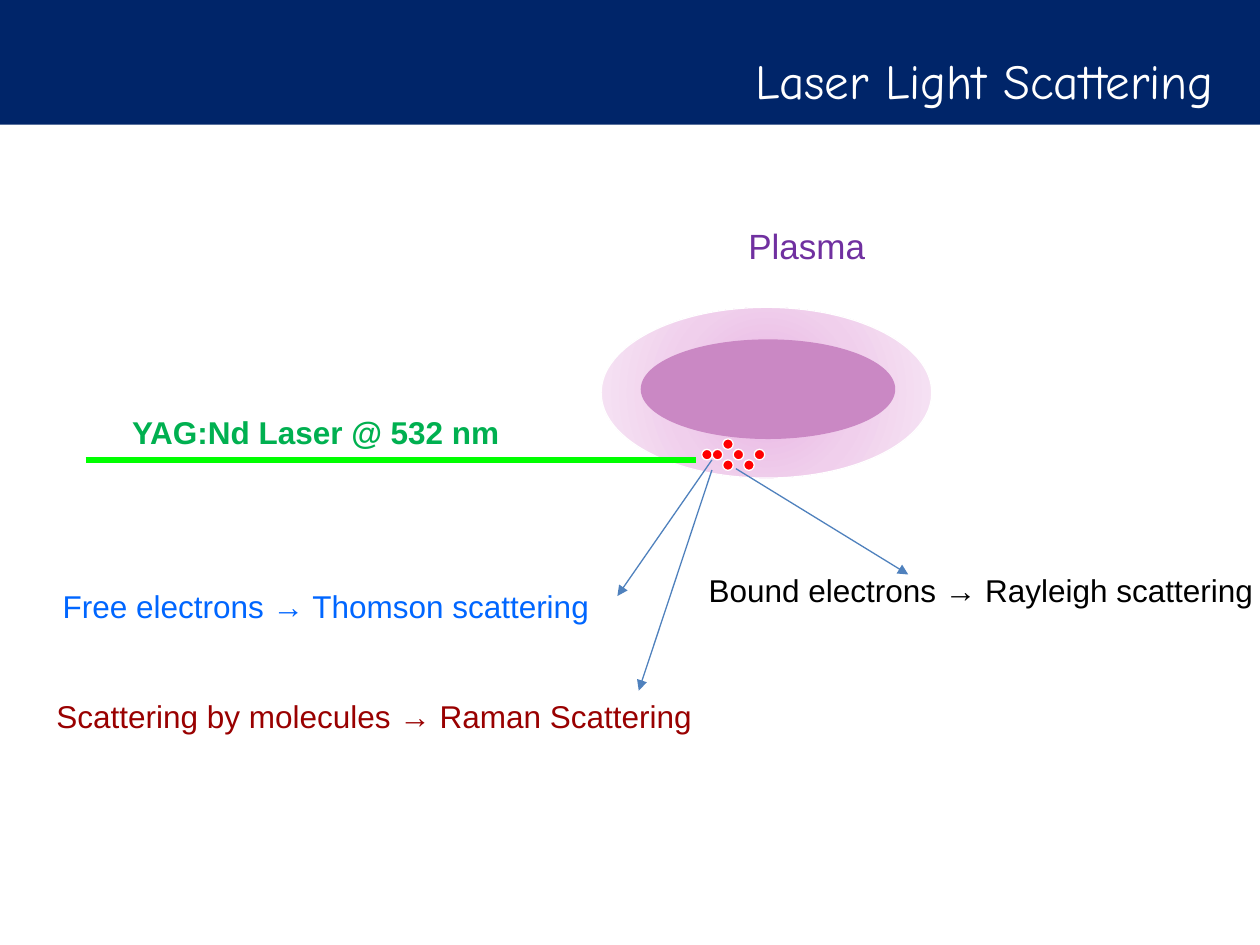
from pptx import Presentation
from pptx.dml.color import RGBColor
from pptx.enum import shapes, text
from pptx.oxml import parse_xml
from pptx.oxml.ns import nsdecls
from pptx.util import Pt

DOT_CELLS = [(5, 1), (3, 1), (2, 2), (4, 2), (0, 1), (2, 0), (1, 1)]
GLOW_STOPS = [(0, "E8B2E3"), (50, "F0CFEC"), (100, "F7E7F5")]


def color(value):
    """Turn a hex string into a colour."""
    return RGBColor.from_string(value)


def style(tf, words, size, hue, font="Arial", bold=False, align=text.PP_ALIGN.LEFT):
    """Write one paragraph into a text frame and return it."""
    tf.word_wrap = True
    tf.vertical_anchor = text.MSO_ANCHOR.TOP
    p = tf.paragraphs[0]
    p.text = words
    p.alignment = align
    p.font.name, p.font.size, p.font.bold = font, Pt(size), bold
    p.font.color.rgb = color(hue)
    return p


def add_label(s, box, words, hue, size=18, **options):
    """Add a text box in the given box."""
    tf = s.shapes.add_textbox(*map(Pt, box)).text_frame
    style(tf, words, size, hue, **options)


def add_solid(s, kind, box, fill, line=None):
    """Add a flat preset shape, with a thin outline if a line colour is given."""
    sp = s.shapes.add_shape(kind, *map(Pt, box))
    sp.shadow.inherit = False
    sp.fill.solid()
    sp.fill.fore_color.rgb = color(fill)
    if line:
        sp.line.color.rgb = color(line)
        sp.line.width = Pt(0.75)
    else:
        sp.line.fill.background()
    return sp


def add_line(s, start, end, hue, width, arrow=False):
    """Add a straight line, with an arrowhead at its end if asked."""
    sp = s.shapes.add_connector(shapes.MSO_CONNECTOR.STRAIGHT, *map(Pt, start + end))
    sp.line.color.rgb = color(hue)
    sp.line.width = Pt(width)
    if arrow:
        ln = sp.line._get_or_add_ln()
        ln.append(parse_xml(f'<a:tailEnd {nsdecls("a")} type="triangle"/>'))
    sp._element.spPr.append(parse_xml(f'<a:effectLst {nsdecls("a")}/>'))


def set_radial_fill(sp, stops):
    """Replace the solid fill of a shape by a gradient from its centre."""
    gs = "".join(
        f'<a:gs pos="{pos * 1000}"><a:srgbClr val="{hue}"/></a:gs>' for pos, hue in stops
    )
    grad = parse_xml(
        f'<a:gradFill {nsdecls("a")} rotWithShape="1"><a:gsLst>{gs}</a:gsLst>'
        '<a:path path="circle"><a:fillToRect l="50000" t="50000" r="50000" b="50000"/>'
        "</a:path></a:gradFill>"
    )
    spPr = sp._element.spPr
    spPr.replace(spPr.solidFill, grad)


def build_header(s, band_box, title_box):
    """Put the title placeholder over a dark band."""
    band = add_solid(s, shapes.MSO_SHAPE.RECTANGLE, band_box, "002569")
    s.shapes._spTree.insert(2, band._element)
    title = s.shapes.title
    title.left, title.top, title.width, title.height = map(Pt, title_box)
    tf = title.text_frame
    tf.auto_size = text.MSO_AUTO_SIZE.NONE
    p = style(tf, "Laser Light Scattering", 28, "FFFFFF",
              font="Comic Neue", align=text.PP_ALIGN.CENTER)
    p.line_spacing = 1.3
    p.space_before = Pt(5.6)


def build_plasma(s, box):
    """Draw the plasma glow, its core and its label."""
    x, y, w, h = box
    oval = shapes.MSO_SHAPE.OVAL
    glow = add_solid(s, oval, box, "F0CFEC", "FFFFFF")
    set_radial_fill(glow, GLOW_STOPS)
    add_solid(s, oval, (x + 23, y + 18.7, 144.7, 56.2), "CA88C4", "CA88C4")
    add_label(s, (x + 77, y - 51, w + 9.5, 31.7), "Plasma", "7030A0", size=20)


def build_particles(s, x, y, step=6):
    """Place the scattering particles on a square grid."""
    for col, row in DOT_CELLS:
        box = (x + col * step, y + row * step, step, step)
        add_solid(s, shapes.MSO_SHAPE.OVAL, box, "FF0000", "FFFFFF")


def build_laser(s, x, y, length):
    """Draw the laser beam and its label."""
    add_line(s, (x, y), (x + length, y), "00FF00", 3)
    add_label(s, (x + 19.4, y - 30.2, 257.8, 28.8), "YAG:Nd Laser @ 532 nm",
              "00B050", bold=True)


def build_scattering(s, start, end, box, words, hue, **options):
    """Draw one scattered ray and name its process."""
    add_line(s, start, end, "4F81BD", 0.75, arrow=True)
    add_label(s, box, words, hue, **options)


def main():
    """Build and save the slide."""
    prs = Presentation()
    prs.slide_width, prs.slide_height = Pt(720), Pt(540)
    s = prs.slides.add_slide(prs.slide_layouts[5])
    build_header(s, (0, 0, 720, 71.3), (218.2, 15.1, 689, 115.2))
    build_plasma(s, (343.5, 175.6, 189, 97.6))
    build_laser(s, 49, 262.8, 348.5)
    build_particles(s, 401, 250.8)
    build_scattering(s, (406.8, 262.8), (352.8, 340.6), (23.8, 332, 363, 28.8),
                     " Free electrons → Thomson scattering", "0066FF")
    build_scattering(s, (420.5, 267.8), (519, 328.3), (342.7, 322.6, 430.6, 28.8),
                     " Bound electrons → Rayleigh scattering", "000000",
                     align=text.PP_ALIGN.CENTER)
    build_scattering(s, (406.8, 268.6), (365, 394.6), (20.2, 394.6, 442.8, 28.8),
                     " Scattering by molecules → Raman Scattering", "990000")
    prs.save("out.pptx")


if __name__ == "__main__":
    main()
